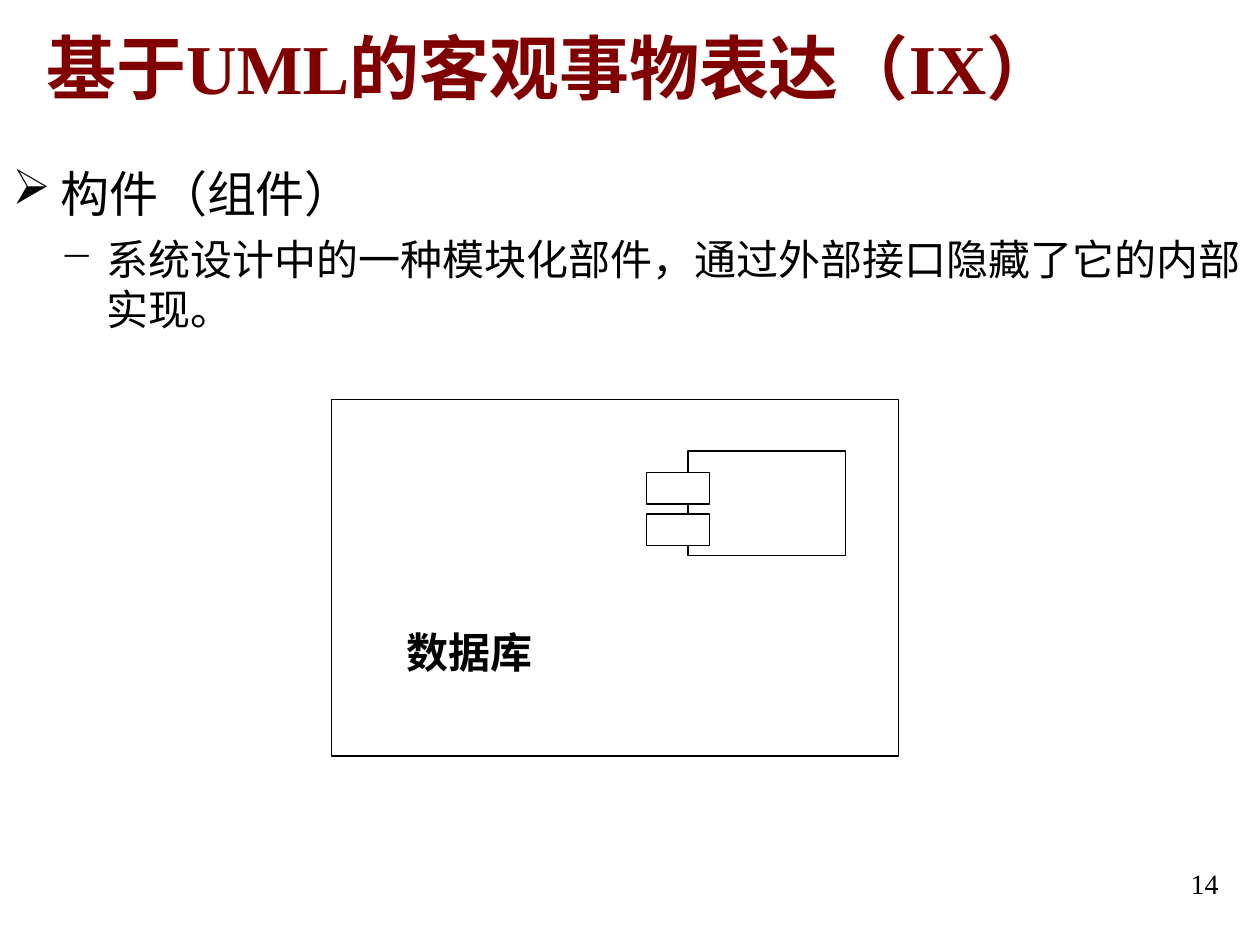
from lxml.etree import SubElement
from pptx import Presentation
from pptx.dml.color import RGBColor
from pptx.enum.shapes import MSO_SHAPE
from pptx.enum.text import MSO_ANCHOR, PP_ALIGN
from pptx.oxml.ns import qn
from pptx.util import Inches, Pt

BLACK = "000000"
WHITE = "FFFFFF"
MAROON = "800000"
SERIF = "Times New Roman"
SANS = "Arial"


def color(hex_code):
    return RGBColor.from_string(hex_code)


def set_font(paragraph, name, size, hex_code=BLACK, bold=False):
    font = paragraph.font
    font.name, font.size, font.bold = name, Pt(size), bold
    font.color.rgb = color(hex_code)


def add_text_frame(slide, left, top, width, height):
    box = slide.shapes.add_textbox(
        Inches(left), Inches(top), Inches(width), Inches(height))
    box.text_frame.word_wrap = True
    return box.text_frame


def add_label(slide, place, text, size, hex_code=BLACK, bold=False,
              align=PP_ALIGN.LEFT, anchor=MSO_ANCHOR.TOP):
    """Add a single line of serif text."""
    frame = add_text_frame(slide, *place)
    frame.vertical_anchor = anchor
    line = frame.paragraphs[0]
    line.text = text
    line.alignment = align
    set_font(line, SERIF, size, hex_code, bold)


def set_bullet(paragraph, symbol, indent, hanging):
    properties = paragraph._p.get_or_add_pPr()
    properties.set("marL", str(Inches(indent)))
    properties.set("indent", str(-Inches(hanging)))
    bullet_color = SubElement(properties, qn("a:buClr"))
    SubElement(bullet_color, qn("a:srgbClr"), val=BLACK)
    SubElement(properties, qn("a:buChar"), char=symbol)


def add_definition(slide, term, meaning):
    frame = add_text_frame(slide, 0, 1.25, 10, 2.58)
    heading = frame.paragraphs[0]
    heading.text = term
    set_bullet(heading, "➢", 0.38, 0.38)
    set_font(heading, SANS, 28)

    detail = frame.add_paragraph()
    detail.text = meaning
    detail.level = 1
    detail.space_before = Pt(6)
    set_bullet(detail, "−", 0.75, 0.37)
    set_font(detail, SANS, 24)


def add_rectangle(slide, left, top, width, height, fill=None):
    rectangle = slide.shapes.add_shape(
        MSO_SHAPE.RECTANGLE,
        Inches(left), Inches(top), Inches(width), Inches(height))
    rectangle.shadow.inherit = False
    if fill:
        rectangle.fill.solid()
        rectangle.fill.fore_color.rgb = color(fill)
    else:
        rectangle.fill.background()
    rectangle.line.color.rgb = color(BLACK)
    rectangle.line.width = Pt(0.75)


def add_component_icon(slide, left, top):
    """Draw the UML component symbol: a body with two tabs on its left edge."""
    add_rectangle(slide, left, top, 1.25, 0.83)
    for tab_offset in (0.17, 0.5):
        add_rectangle(slide, left - 0.33, top + tab_offset, 0.5, 0.25, WHITE)


def main():
    presentation = Presentation()
    presentation.slide_width = Inches(10)
    presentation.slide_height = Inches(7.5)
    slide = presentation.slides.add_slide(presentation.slide_layouts[6])

    add_label(slide, (0.27, -0.1, 10, 1.25), "基于UML的客观事物表达（IX）", 40,
              MAROON, bold=True, anchor=MSO_ANCHOR.MIDDLE)
    add_definition(slide, "构件（组件）",
                   "系统设计中的一种模块化部件，通过外部接口隐藏了它的内部实现。")
    add_rectangle(slide, 2.63, 3.17, 4.5, 2.83)
    add_label(slide, (3.13, 4.92, 2.17, 0.5), "数据库", 24, bold=True)
    add_component_icon(slide, 5.46, 3.58)
    add_label(slide, (7.44, 6.83, 2.33, 0.52), "14", 16, align=PP_ALIGN.RIGHT)

    presentation.save("out.pptx")


if __name__ == "__main__":
    main()
